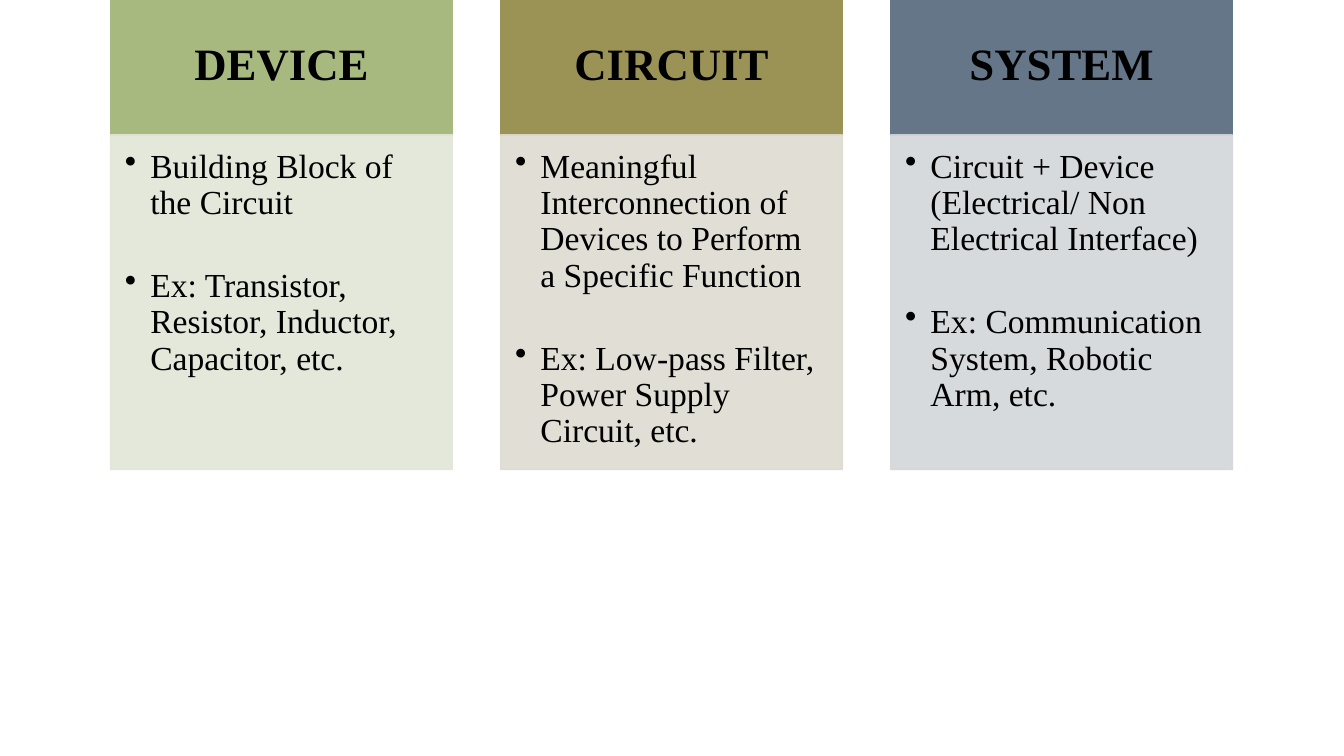
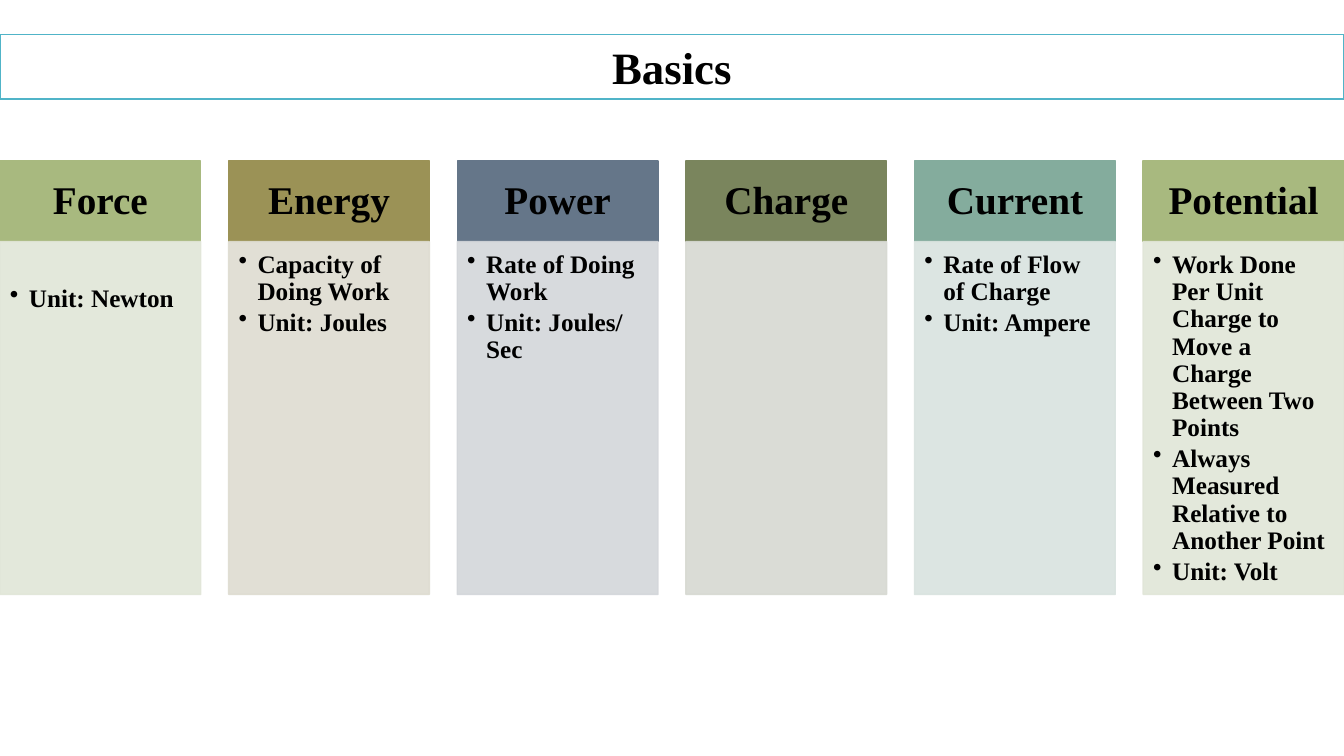
from dataclasses import dataclass

from lxml import etree
from pptx import Presentation
from pptx.dml.color import RGBColor
from pptx.enum.shapes import MSO_SHAPE as Preset
from pptx.enum.text import MSO_ANCHOR as Anchor, MSO_AUTO_SIZE as AutoSize, PP_ALIGN as Align
from pptx.oxml.ns import qn
from pptx.util import Cm, Pt

FONT = "Times New Roman"
BLACK, WHITE, TITLE_LINE = "000000", "FFFFFF", "50B4C8"
SLIDE_W, SLIDE_H = 33.87, 19.05  # cm

# Header and body colour of each column
GREEN = ("A8B97F", "E1E6D8")
OLIVE = ("9B9256", "DEDCD1")
SLATE = ("657689", "D3D6DA")
MOSS = ("7A855D", "D7D9D2")
TEAL = ("84AC9D", "D9E3DF")


@dataclass(frozen=True)
class Column:
    heading: str
    colours: tuple[str, str]
    points: tuple[str, ...] = ()
    extra_top: float = 0


@dataclass(frozen=True)
class ColumnStyle:
    """Measures of a row of columns: lengths in cm, text in points."""
    left: float
    top: float
    width: float
    pitch: float
    header_height: float
    body_height: float
    header_insets: tuple[float, float, float, float]
    body_insets: tuple[float, float, float, float]
    indent: float
    heading_size: float
    point_size: float
    point_gap: float
    bold_points: bool


def rgb(colour: str) -> RGBColor:
    return RGBColor.from_string(colour)


def paint(shape, fill: str, line: str, opacity: int = 100) -> None:
    shape.fill.solid()
    shape.fill.fore_color.rgb = rgb(fill)
    shape.line.color.rgb = rgb(line)
    shape.line.width = Pt(1)
    if opacity < 100:
        for colour in shape.element.spPr.iter(qn("a:srgbClr")):
            etree.SubElement(colour, qn("a:alpha"), val=str(opacity * 1000))


def set_font(paragraph, size: float, bold: bool) -> None:
    font = paragraph.font
    font.name, font.size, font.bold = FONT, Pt(size), bold
    font.color.rgb = rgb(BLACK)


def set_frame(frame, insets: tuple[float, ...], anchor: Anchor) -> None:
    frame.word_wrap = True
    frame.vertical_anchor = anchor
    (frame.margin_left, frame.margin_top,
     frame.margin_right, frame.margin_bottom) = map(Cm, insets)


def add_bullet(paragraph, indent: float) -> None:
    properties = paragraph._p.get_or_add_pPr()
    properties.set("marL", str(Cm(indent)))
    properties.set("indent", str(-Cm(indent)))
    etree.SubElement(properties, qn("a:buChar"), char="•")


def add_box(slide, left: float, top: float, width: float, height: float,
            colour: str, opacity: int = 100):
    box = slide.shapes.add_shape(Preset.RECTANGLE, Cm(left), Cm(top), Cm(width), Cm(height))
    box.shadow.inherit = False
    paint(box, colour, colour, opacity)
    return box


def add_column(slide, column: Column, left: float, style: ColumnStyle) -> None:
    header_colour, body_colour = column.colours

    # Heading
    header = add_box(slide, left, style.top, style.width, style.header_height, header_colour)
    set_frame(header.text_frame, style.header_insets, Anchor.MIDDLE)
    heading = header.text_frame.paragraphs[0]
    heading.text = column.heading
    heading.alignment = Align.CENTER
    heading.line_spacing = 0.9
    set_font(heading, style.heading_size, True)

    # Bulleted points
    body = add_box(slide, left, style.top + style.header_height,
                   style.width, style.body_height, body_colour, 90)
    frame = body.text_frame
    inset_left, inset_top, inset_right, inset_bottom = style.body_insets
    set_frame(frame, (inset_left, inset_top + column.extra_top, inset_right, inset_bottom),
              Anchor.TOP)
    for index, text in enumerate(column.points):
        point = frame.add_paragraph() if index else frame.paragraphs[0]
        point.text = text
        add_bullet(point, style.indent)
        point.alignment = Align.LEFT
        point.line_spacing = 0.9
        point.space_after = Pt(style.point_gap)
        set_font(point, style.point_size, style.bold_points)


def add_columns(slide, columns: list[Column], style: ColumnStyle) -> None:
    for index, column in enumerate(columns):
        add_column(slide, column, style.left + index * style.pitch, style)


def set_title(slide, text: str) -> None:
    title = slide.shapes.title
    title.left, title.top, title.width, title.height = map(Cm, (0, 0.87, SLIDE_W, 1.63))
    paint(title, WHITE, TITLE_LINE)
    frame = title.text_frame
    frame.auto_size = AutoSize.NONE
    set_frame(frame, (0.25, 0.13, 0.25, 0.13), Anchor.MIDDLE)
    heading = frame.paragraphs[0]
    heading.text = text
    heading.alignment = Align.CENTER
    set_font(heading, 32, True)


LEVEL_STYLE = ColumnStyle(
    left=2.79, top=-0.05, width=8.61, pitch=9.83, header_height=3.45, body_height=8.43,
    header_insets=(0.64, 0.36, 0.64, 0.36), body_insets=(0.36, 0.36, 0.48, 0.53),
    indent=0.64, heading_size=32, point_size=24, point_gap=33.5, bold_points=False)

QUANTITY_WIDTH = 5.06
QUANTITY_COUNT = 6
QUANTITY_STYLE = ColumnStyle(
    left=0, top=4.06, width=QUANTITY_WIDTH,
    pitch=(SLIDE_W - QUANTITY_WIDTH) / (QUANTITY_COUNT - 1),
    header_height=2.03, body_height=8.89,
    header_insets=(0.56, 0.3, 0.56, 0.3), body_insets=(0.25, 0.25, 0.36, 0.41),
    indent=0.48, heading_size=28, point_size=18, point_gap=2.7, bold_points=True)

LEVELS = [
    Column("DEVICE", GREEN, ("Building Block of the Circuit",
                             "Ex: Transistor, Resistor, Inductor, Capacitor, etc.")),
    Column("CIRCUIT", OLIVE, (
        "Meaningful Interconnection of Devices to Perform a Specific Function",
        "Ex: Low-pass Filter, Power Supply Circuit, etc.")),
    Column("SYSTEM", SLATE, ("Circuit + Device (Electrical/ Non Electrical Interface)",
                             "Ex: Communication System, Robotic Arm, etc.")),
]

QUANTITIES = [
    Column("Force", GREEN, ("Unit: Newton",), extra_top=0.86),
    Column("Energy", OLIVE, ("Capacity of Doing Work", "Unit: Joules")),
    Column("Power", SLATE, ("Rate of Doing Work", "Unit: Joules/ Sec")),
    Column("Charge", MOSS),
    Column("Current", TEAL, ("Rate of Flow of Charge", "Unit: Ampere")),
    Column("Potential", GREEN, (
        "Work Done Per Unit Charge to Move a Charge Between Two Points",
        "Always Measured Relative to Another Point",
        "Unit: Volt")),
]


def main() -> None:
    deck = Presentation()
    deck.slide_width, deck.slide_height = Cm(SLIDE_W), Cm(SLIDE_H)
    title_only, blank = deck.slide_layouts[5], deck.slide_layouts[6]

    # Device, circuit and system
    add_columns(deck.slides.add_slide(blank), LEVELS, LEVEL_STYLE)

    # Basic quantities
    basics = deck.slides.add_slide(title_only)
    set_title(basics, "Basics")
    add_columns(basics, QUANTITIES, QUANTITY_STYLE)

    deck.save("out.pptx")


if __name__ == "__main__":
    main()
